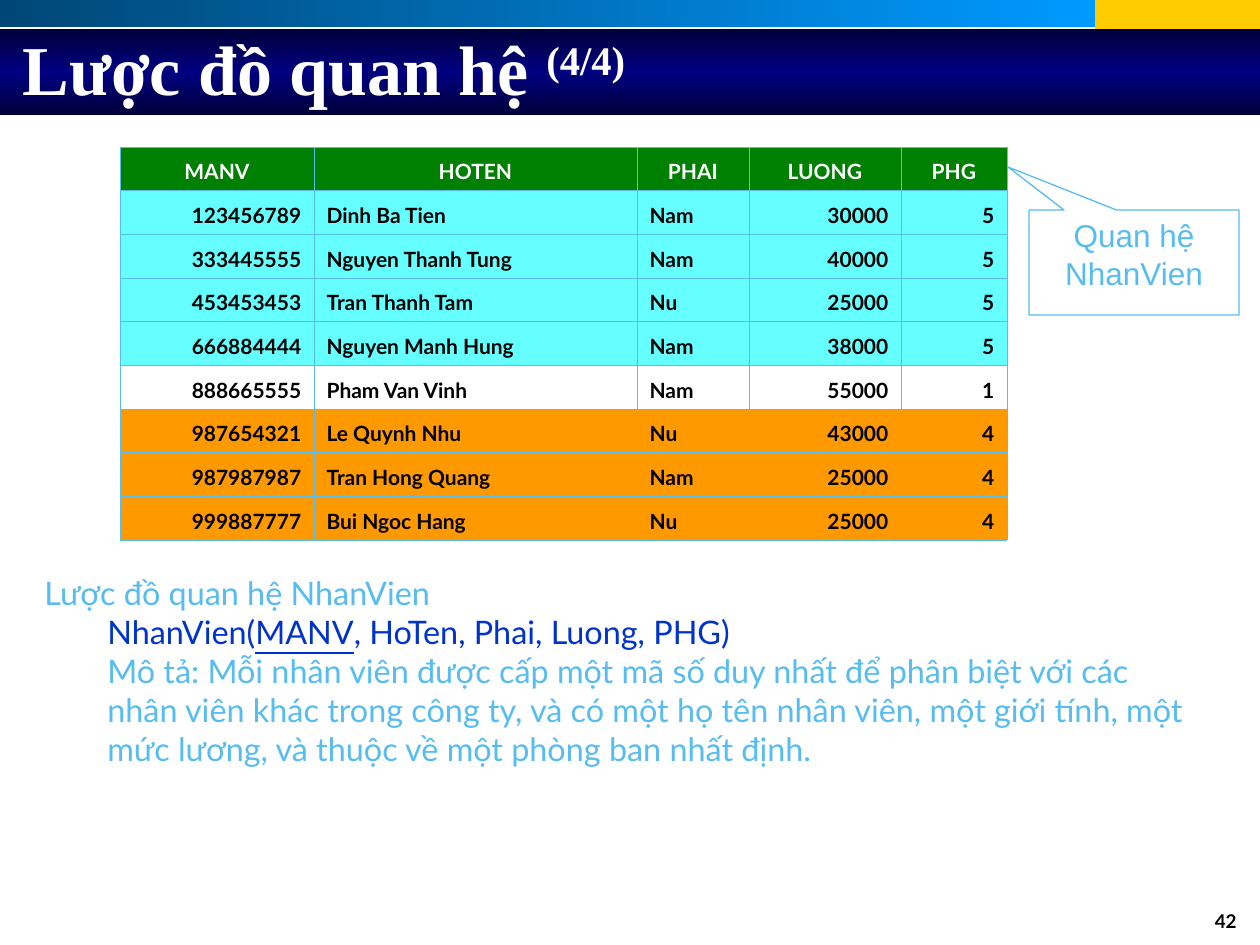
from dataclasses import dataclass
from typing import Optional

import lxml.etree
import pptx
import pptx.dml.color
import pptx.enum.shapes
import pptx.enum.text
import pptx.oxml.ns
import pptx.util

ALIGN = pptx.enum.text.PP_ALIGN
ANCHOR = pptx.enum.text.MSO_ANCHOR
SHAPE = pptx.enum.shapes.MSO_SHAPE
qn = pptx.oxml.ns.qn

SKY, WHITE, BLACK, BLUE = "57BCEF", "FFFFFF", "000000", "0033CC"
GREEN, CYAN, ORANGE = "008000", "66FFFF", "FF9900"
GROUP_FILLS = {"5": CYAN, "1": WHITE, "4": ORANGE}

HEADERS = ["MANV", "HOTEN", "PHAI", "LUONG", "PHG"]
COLUMN_WIDTHS = [194, 323, 112, 152, 106]
COLUMN_ALIGNS = [ALIGN.RIGHT, ALIGN.LEFT, ALIGN.LEFT, ALIGN.RIGHT, ALIGN.RIGHT]
EMPLOYEES = [
    ("123456789", "Dinh Ba Tien", "Nam", "30000", "5"),
    ("333445555", "Nguyen Thanh Tung", "Nam", "40000", "5"),
    ("453453453", "Tran Thanh Tam", "Nu", "25000", "5"),
    ("666884444", "Nguyen Manh Hung", "Nam", "38000", "5"),
    ("888665555", "Pham Van Vinh", "Nam", "55000", "1"),
    ("987654321", "Le Quynh Nhu", "Nu", "43000", "4"),
    ("987987987", "Tran Hong Quang", "Nam", "25000", "4"),
    ("999887777", "Bui Ngoc Hang", "Nu", "25000", "4"),
]


@dataclass
class Bar:
    box: tuple[int, int, int, int]
    colors: list[str]
    angle: int = 0


@dataclass
class Run:
    text: str
    size: float
    color: str
    name: str = "Lato"
    bold: bool = False
    underline: bool = False
    baseline: Optional[int] = None


BARS = [
    Bar((1095, 0, 165, 35), ["FFCC00"]),
    Bar((0, 0, 1095, 27), ["004776", "0099FF"]),
    Bar((0, 29, 1260, 86), ["00003B", "000080", "00003B"], 90),
]


def px(n: int) -> int:
    return round(n * 914400 / 126)


def rgb(color: str) -> pptx.dml.color.RGBColor:
    return pptx.dml.color.RGBColor.from_string(color)


def sub(parent, tag: str, **attrs):
    return lxml.etree.SubElement(parent, qn(tag), attrs)


def set_attrs(obj, values: dict) -> None:
    for key, value in values.items():
        setattr(obj, key, value)


def write(p, runs: list[Run], align=ALIGN.LEFT) -> None:
    p.alignment = align
    for run in runs:
        r = p.add_run()
        r.text = run.text
        set_attrs(r.font, {"size": pptx.util.Pt(run.size), "name": run.name,
                           "bold": run.bold, "underline": run.underline})
        r.font.color.rgb = rgb(run.color)
        if run.baseline:
            r._r.get_or_add_rPr().set("baseline", str(run.baseline * 1000))


def add_text(s, box: tuple[int, int, int, int]):
    tf = s.shapes.add_textbox(*map(px, box)).text_frame
    tf.word_wrap = True
    return tf


def add_bar(s, bar: Bar) -> None:
    sp = s.shapes.add_shape(SHAPE.RECTANGLE, *map(px, bar.box))
    sp.shadow.inherit = False
    sp.line.fill.background()
    if len(bar.colors) == 1:
        sp.fill.solid()
        sp.fill.fore_color.rgb = rgb(bar.colors[0])
        return
    sp.fill.gradient()
    sp.fill.gradient_angle = bar.angle
    stops = sp._element.spPr.find(qn("a:gradFill")).find(qn("a:gsLst"))
    stops.clear()
    for i, color in enumerate(bar.colors):
        stop = sub(stops, "a:gs", pos=str(100000 * i // (len(bar.colors) - 1)))
        sub(stop, "a:srgbClr", val=color)


def add_title(s) -> None:
    title = s.shapes.title
    s.shapes._spTree.append(title._element)
    set_attrs(title, {"left": px(10), "top": px(10), "width": px(735), "height": px(116)})
    tf = title.text_frame
    set_attrs(tf, {"word_wrap": True, "vertical_anchor": ANCHOR.MIDDLE,
                   "auto_size": pptx.enum.text.MSO_AUTO_SIZE.NONE})
    style = {"size": 40, "color": WHITE, "name": "Times New Roman", "bold": True}
    write(tf.paragraphs[0], [Run("Lược đồ quan hệ ", **style),
                             Run("(4/4)", baseline=30, **style)])


def format_cell(cell, text: str, align, fill: str, color: str, hidden: set[str]) -> None:
    cell.vertical_anchor = ANCHOR.BOTTOM
    write(cell.text_frame.paragraphs[0], [Run(text, 12, color, bold=True)], align)
    tc_pr = cell._tc.get_or_add_tcPr()
    for side in "LRTB":
        ln = sub(tc_pr, f"a:ln{side}", w="5715")
        if side in hidden:
            sub(ln, "a:noFill")
        else:
            sub(sub(ln, "a:solidFill"), "a:srgbClr", val=SKY)
    cell.fill.solid()
    cell.fill.fore_color.rgb = rgb(fill)


def add_employee_table(s) -> None:
    rows = [HEADERS, *EMPLOYEES]
    last = len(HEADERS) - 1
    table = s.shapes.add_table(len(rows), len(HEADERS), px(120), px(147),
                               px(sum(COLUMN_WIDTHS)), px(393)).table
    set_attrs(table, {"first_row": False, "horz_banding": False})
    for column, width in zip(table.columns, COLUMN_WIDTHS):
        column.width = px(width)
    for i, row in enumerate(rows):
        fill = GROUP_FILLS[row[-1]] if i else GREEN
        for j, text in enumerate(row):
            hidden = set()
            if fill == ORANGE:
                hidden = {"L"} if j == last else {"R"} if j == 1 else {"L", "R"} if j > 1 else set()
            format_cell(table.cell(i, j), text, COLUMN_ALIGNS[j] if i else ALIGN.CENTER,
                        fill, BLACK if i else WHITE, hidden)


def add_callout(s) -> None:
    sp = s.shapes.add_shape(SHAPE.RECTANGULAR_CALLOUT, *map(px, (1029, 210, 210, 105)))
    sp.shadow.inherit = False
    sp.adjustments[0], sp.adjustments[1] = -0.6, -0.91
    sp.fill.solid()
    sp.fill.fore_color.rgb = rgb(WHITE)
    sp.line.color.rgb = rgb(SKY)
    sp.line.width = pptx.util.Pt(0.75)
    tf = sp.text_frame
    set_attrs(tf, {"word_wrap": True, "vertical_anchor": ANCHOR.TOP})
    write(tf.paragraphs[0], [Run("Quan hệ", 18, SKY, "Arial")], ALIGN.CENTER)
    write(tf.add_paragraph(), [Run("NhanVien", 18, SKY, "Arial")], ALIGN.CENTER)


def add_description(s) -> None:
    tf = add_text(s, (32, 567, 1187, 231))
    write(tf.paragraphs[0], [Run("Lược đồ quan hệ NhanVien", 18.5, SKY)])
    schema = [Run("NhanVien(", 18.5, BLUE), Run("MANV", 18.5, BLUE, underline=True),
              Run(", HoTen, Phai, Luong, PHG)", 18.5, BLUE)]
    meaning = [Run("Mô tả: Mỗi nhân viên được cấp một mã số duy nhất để phân biệt với các "
                   "nhân viên khác trong công ty, và có một họ tên nhân viên, một giới tính, "
                   "một mức lương, và thuộc về một phòng ban nhất định.", 18.5, SKY)]
    for runs in (schema, meaning):
        p = tf.add_paragraph()
        p.level = 1
        set_attrs_xml = p._p.get_or_add_pPr().set
        set_attrs_xml("marL", str(px(63)))
        set_attrs_xml("indent", "0")
        write(p, runs)


def main() -> None:
    prs = pptx.Presentation()
    set_attrs(prs, {"slide_width": px(1260), "slide_height": px(945)})
    s = prs.slides.add_slide(prs.slide_layouts[5])
    for bar in BARS:
        add_bar(s, bar)
    number = add_text(s, (955, 903, 294, 40))
    write(number.paragraphs[0], [Run("42", 10.8, BLACK, bold=True)], ALIGN.RIGHT)
    add_title(s)
    add_employee_table(s)
    add_callout(s)
    add_description(s)
    prs.save("out.pptx")


if __name__ == "__main__":
    main()
